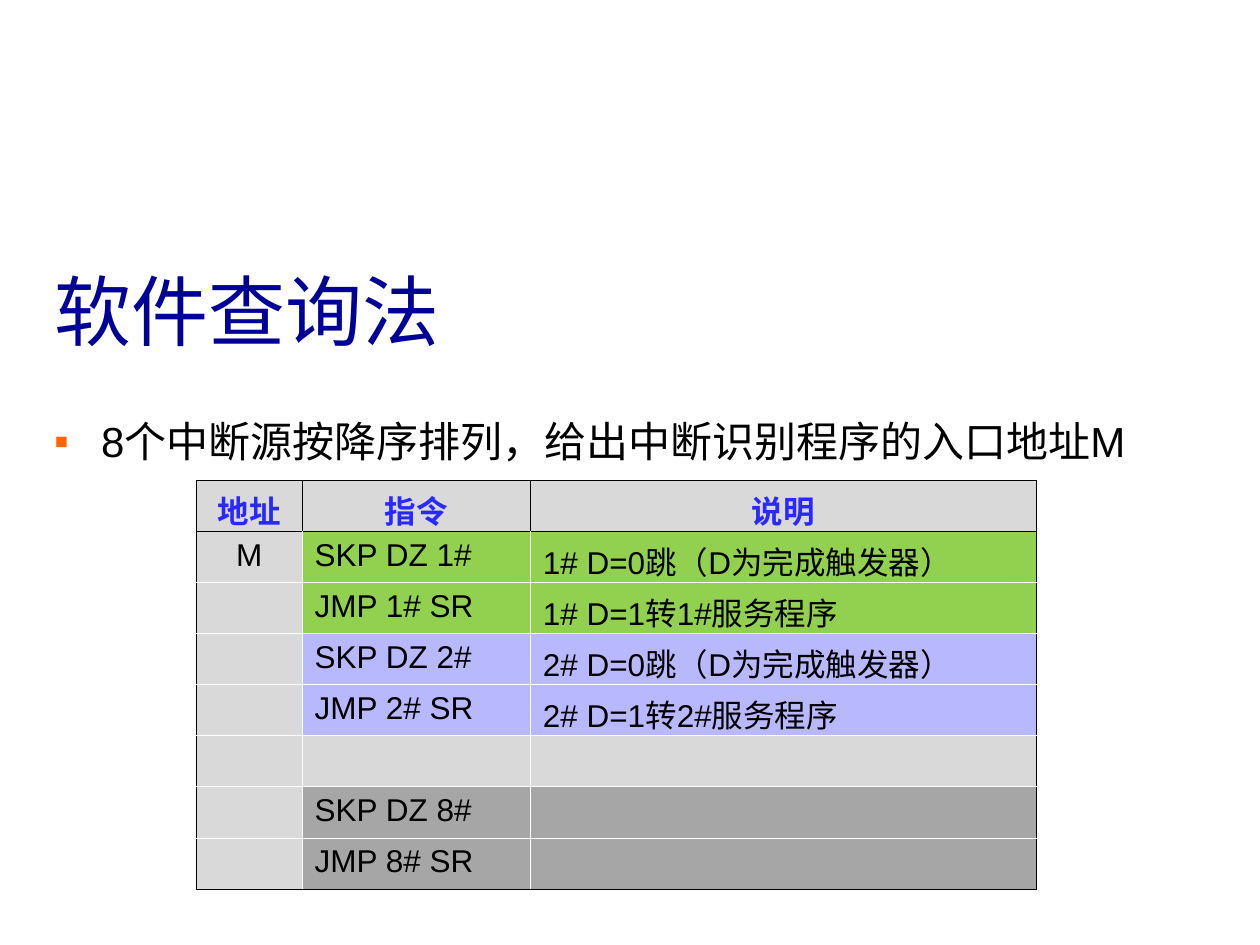
"""Build the slide on polling interrupt sources in software."""
from lxml.etree import SubElement
from pptx import Presentation
from pptx.dml.color import RGBColor
from pptx.enum.text import MSO_ANCHOR as Anchor, MSO_AUTO_SIZE as AutoSize, PP_ALIGN as Align
from pptx.oxml.ns import qn
from pptx.util import Cm, Pt


def color(value):
    return RGBColor.from_string(value)


def write(paragraph, text, size, ink, bold=False, align=Align.LEFT):
    paragraph.alignment = align
    run = paragraph.add_run()
    run.text = text
    font_format = {"name": "Arial", "size": Pt(size), "bold": bold}
    for key, value in font_format.items():
        setattr(run.font, key, value)
    run.font.color.rgb = color(ink)


deck = Presentation()
deck.slide_width, deck.slide_height = Cm(25.4), Cm(19.05)
slide = deck.slides.add_slide(deck.slide_layouts[5])

heading = slide.shapes.title
heading_place = {"left": Cm(0.84), "top": Cm(4.65), "width": Cm(23.72), "height": Cm(3.18)}
for key, value in heading_place.items():
    setattr(heading, key, value)
heading_format = {"auto_size": AutoSize.NONE, "vertical_anchor": Anchor.MIDDLE, "word_wrap": True}
for key, value in heading_format.items():
    setattr(heading.text_frame, key, value)
write(heading.text_frame.paragraphs[0], "软件查询法", 44, "000099")

summary = slide.shapes.add_textbox(Cm(0.84), Cm(8.26), Cm(23.72), Cm(8.89)).text_frame
summary.word_wrap = True
point = summary.paragraphs[0]
bullet = point._p.get_or_add_pPr()
bullet.set("marL", str(Cm(0.95)))
bullet.set("indent", str(Cm(-0.95)))
SubElement(SubElement(bullet, qn("a:buClr")), qn("a:srgbClr"), val="FF6600")
SubElement(bullet, qn("a:buFont"), typeface="Arial")
SubElement(bullet, qn("a:buChar"), char="▪")
write(point, "8个中断源按降序排列，给出中断识别程序的入口地址M", 24, "000000")

LIGHT, GREEN, VIOLET, GREY = "D9D9D9", "92D050", "B8B8FF", "A6A6A6"
program = [
    (LIGHT, "地址", "指令", "说明"),
    (GREEN, "M", "SKP DZ 1#", "1# D=0跳（D为完成触发器）"),
    (GREEN, "", "JMP 1# SR", "1# D=1转1#服务程序"),
    (VIOLET, "", "SKP DZ 2#", "2# D=0跳（D为完成触发器）"),
    (VIOLET, "", "JMP 2# SR", "2# D=1转2#服务程序"),
    (LIGHT, "", "", ""),
    (GREY, "", "SKP DZ 8#", ""),
    (GREY, "", "JMP 8# SR", ""),
]
column_widths = [2.13, 4.6, 10.21]
last_row, last_column = len(program) - 1, len(column_widths) - 1

listing = slide.shapes.add_table(len(program), len(column_widths), Cm(3.96), Cm(9.68),
                                 Cm(sum(column_widths)), Cm(8.24)).table
listing.first_row = listing.horz_banding = False
for column, width in zip(listing.columns, column_widths):
    column.width = Cm(width)

for r, (row_fill, *entries) in enumerate(program):
    listing.rows[r].height = Cm(1.03)
    header = r == 0
    for c, entry in enumerate(entries):
        cell = listing.cell(r, c)
        black_sides = {
            "lnL": header or c == 0,
            "lnR": header or c == last_column,
            "lnT": r <= 1,
            "lnB": header or r == last_row,
        }
        for side, black in black_sides.items():
            border = SubElement(cell._tc.get_or_add_tcPr(), qn(f"a:{side}"), w=str(Pt(0.45)))
            SubElement(SubElement(border, qn("a:solidFill")), qn("a:srgbClr"),
                       val="000000" if black else "FFFFFF")
        cell.fill.solid()
        cell.fill.fore_color.rgb = color(LIGHT if c == 0 else row_fill)
        if entry:
            write(cell.text_frame.paragraphs[0], entry, 18, "2929FF" if header else "000000",
                  header, Align.CENTER if header or c == 0 else Align.LEFT)

deck.save("out.pptx")
